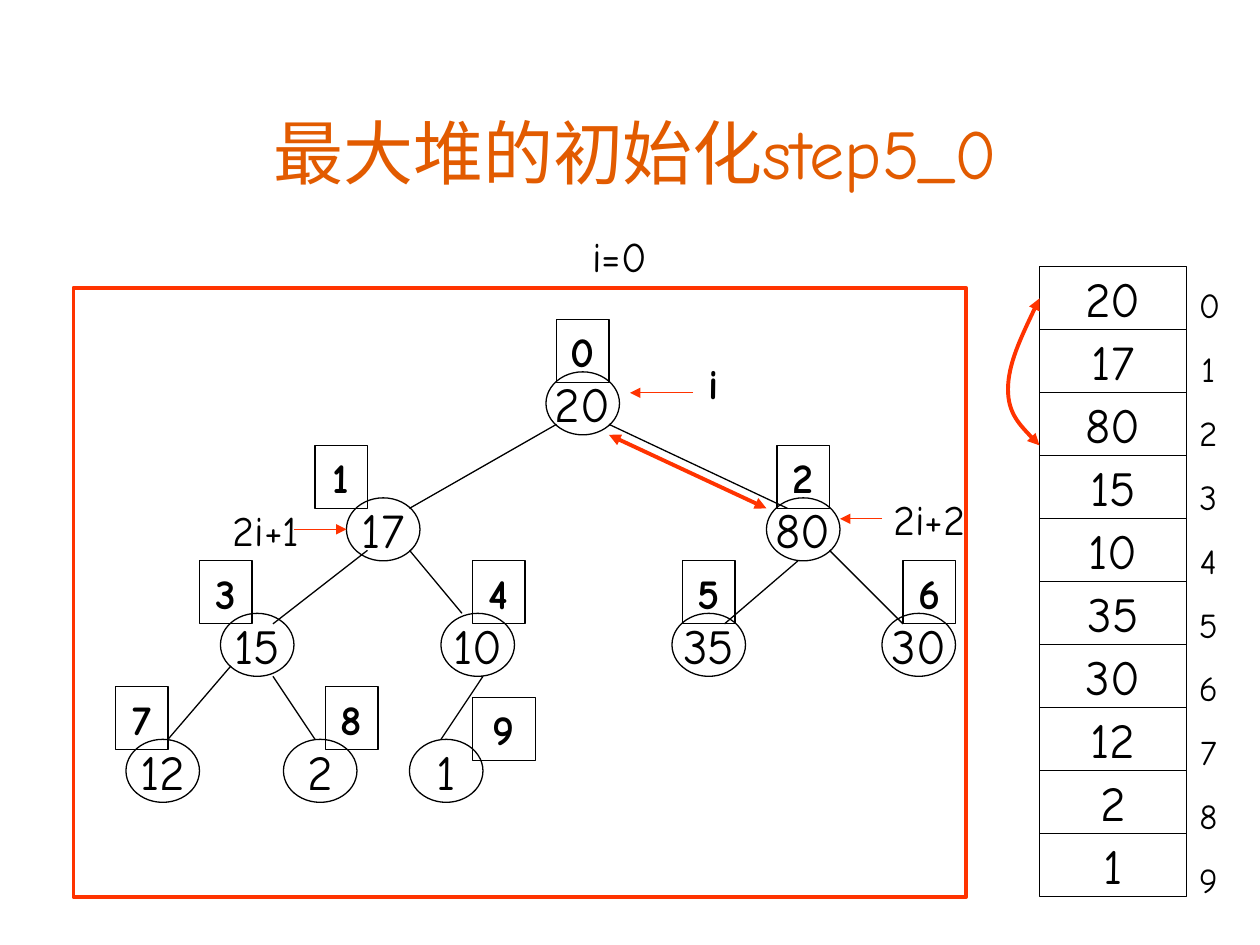
from dataclasses import dataclass

from lxml import etree
from pptx import Presentation
from pptx.dml.color import RGBColor
from pptx.enum.shapes import MSO_CONNECTOR, MSO_SHAPE
from pptx.enum.text import MSO_ANCHOR, PP_ALIGN
from pptx.oxml.ns import qn
from pptx.util import Pt

STRAIGHT = MSO_CONNECTOR.STRAIGHT
CIRCLE = MSO_SHAPE.FLOWCHART_CONNECTOR
CELL = MSO_SHAPE.FLOWCHART_PROCESS
RECTANGLE = MSO_SHAPE.RECTANGLE
TOP, MIDDLE, BOTTOM = MSO_ANCHOR.TOP, MSO_ANCHOR.MIDDLE, MSO_ANCHOR.BOTTOM
CENTER = PP_ALIGN.CENTER


@dataclass(frozen=True)
class Theme:
    font: str = "Comic Neue"
    black: RGBColor = RGBColor(0, 0, 0)
    orange: RGBColor = RGBColor(0xE2, 0x5B, 0x00)
    red: RGBColor = RGBColor(0xFF, 0x33, 0x00)
    title: int = 40
    value: int = 28
    label: int = 24
    position: int = 20
    thin: float = 0.75
    thick: float = 2.25


theme = Theme()
presentation = Presentation()
presentation.slide_width, presentation.slide_height = Pt(720), Pt(540)
slide = presentation.slides.add_slide(presentation.slide_layouts[6])
shapes = slide.shapes


def add_box(box, text, size, kind=None, bold=False, anchor=TOP, wrap=True,
            color=theme.black, line=theme.black, width=theme.thin, gap=0):
    """Add a text box, or an outlined shape when a kind is given."""
    place = [Pt(length) for length in box]
    if kind is None:
        shape = shapes.add_textbox(*place)
    else:
        shape = shapes.add_shape(kind, *place)
        shape.shadow.inherit = False
        shape.fill.background()
        shape.line.color.rgb = line
        shape.line.width = Pt(width)
    frame = shape.text_frame
    frame.text = text
    frame.word_wrap = wrap
    frame.vertical_anchor = anchor
    for number, paragraph in enumerate(frame.paragraphs):
        paragraph.alignment = CENTER
        paragraph.space_before = Pt(gap if number else 0)
        for run in paragraph.runs:
            run.font.name = theme.font
            run.font.size = Pt(size)
            run.font.bold = bold
            run.font.color.rgb = color


def style_line(shape, color, width, ends=()):
    """Style a line without shadow, with arrowheads at the named ends."""
    shape.line.color.rgb = color
    shape.line.width = Pt(width)
    for end in ends:
        etree.SubElement(shape.line._get_or_add_ln(), qn(f"a:{end}"), type="triangle")
    etree.SubElement(shape._element.spPr, qn("a:effectLst"))


# Title and step caption
add_box((54, 54, 618, 60), "最大堆的初始化step5_0", theme.title,
        anchor=BOTTOM, color=theme.orange)
add_box((36, 128, 636, 36), "i=0", theme.label)

# Heap values, in array order, and the place of each tree node
values = [20, 17, 80, 15, 10, 35, 30, 12, 2, 1]
node_lefts = [312, 198, 438, 126, 252, 384, 504, 72, 162, 234]
level_tops = [212.5, 284.5, 350.5, 422.5]
node_tops = [level_tops[(index + 1).bit_length() - 1] for index in range(len(values))]
for value, left, top in zip(values, node_lefts, node_tops):
    add_box((left, top, 42, 36), str(value), theme.value, CIRCLE,
            anchor=MIDDLE, wrap=False)

# Edges per child: start x, drop below the parent's top, end x, drop below its own top
edges = {
    1: (318, 30, 234, 6), 3: (210, 30, 156, 6), 7: (132, 30, 96, 0),
    4: (234, 30, 264, 0), 8: (156, 36, 180, 0), 9: (276, 36, 252, 0),
    2: (348, 30, 450, 6), 5: (456, 36, 414, 6), 6: (474, 30, 516, 6),
}
for child, (start_x, start_drop, end_x, end_drop) in edges.items():
    parent = (child - 1) // 2
    edge = shapes.add_connector(
        STRAIGHT, Pt(start_x), Pt(node_tops[parent] + start_drop),
        Pt(end_x), Pt(node_tops[child] + end_drop))
    style_line(edge, theme.black, theme.thin)

# Index badges above the nodes; the last one is wider and lower
badge_lefts = [318, 180, 444, 114, 270, 390, 516, 66, 186, 270]
for index, left in enumerate(badge_lefts):
    last = index == len(values) - 1
    top = node_tops[index] - (24 if last else 30)
    add_box((left, top, 36 if last else 30, 36), str(index), theme.label,
            RECTANGLE, bold=True)

# Frame around the tree
add_box((42, 164.5, 510, 348), "", theme.label, RECTANGLE,
        line=theme.red, width=theme.thick)

# Array cells and their positions
for index, value in enumerate(values):
    add_box((594, 152.5 + 36 * index, 84, 36), str(value), theme.value, CELL,
            anchor=MIDDLE, wrap=False)
positions = "\n".join(str(index) for index in range(len(values)))
add_box((678, 158.5, 25, 360), positions, theme.position, gap=12.5)

# Pointers to the parent and its children
add_box((390, 200.5, 36, 36), "i", theme.label, bold=True)
add_box((114.5, 284.5, 75, 36), "2i+1", theme.label)
add_box((498, 278.5, 66, 36), "2i+2", theme.label)
for start_x, end_x, y in [(396, 360, 224.5), (168, 198, 302.5), (504, 480, 296.5)]:
    pointer = shapes.add_connector(STRAIGHT, Pt(start_x), Pt(y), Pt(end_x), Pt(y))
    style_line(pointer, theme.red, theme.thin, ["tailEnd"])

# Swap of 20 and 80 in the tree
tree_swap = shapes.add_connector(STRAIGHT, Pt(348), Pt(248.5), Pt(438), Pt(290.5))
style_line(tree_swap, theme.red, theme.thick, ["headEnd", "tailEnd"])

# Swap in the array: each three points become one Bézier segment
curve_points = [(585, 189.5), (576, 208), (576, 222.5),
                (576, 236), (585, 245.5), (594, 254.5)]
builder = shapes.build_freeform(Pt(594), Pt(170.5))
builder.add_line_segments([(Pt(x), Pt(y)) for x, y in curve_points], close=False)
array_swap = builder.convert_to_shape()
array_swap.fill.background()
segments = list(array_swap._element.iter(qn("a:lnTo")))
outline = segments[0].getparent()
for first in range(0, len(segments), 3):
    curve = etree.SubElement(outline, qn("a:cubicBezTo"))
    for segment in segments[first:first + 3]:
        curve.append(segment[0])
        outline.remove(segment)
style_line(array_swap, theme.red, theme.thick, ["headEnd", "tailEnd"])

presentation.save("out.pptx")
